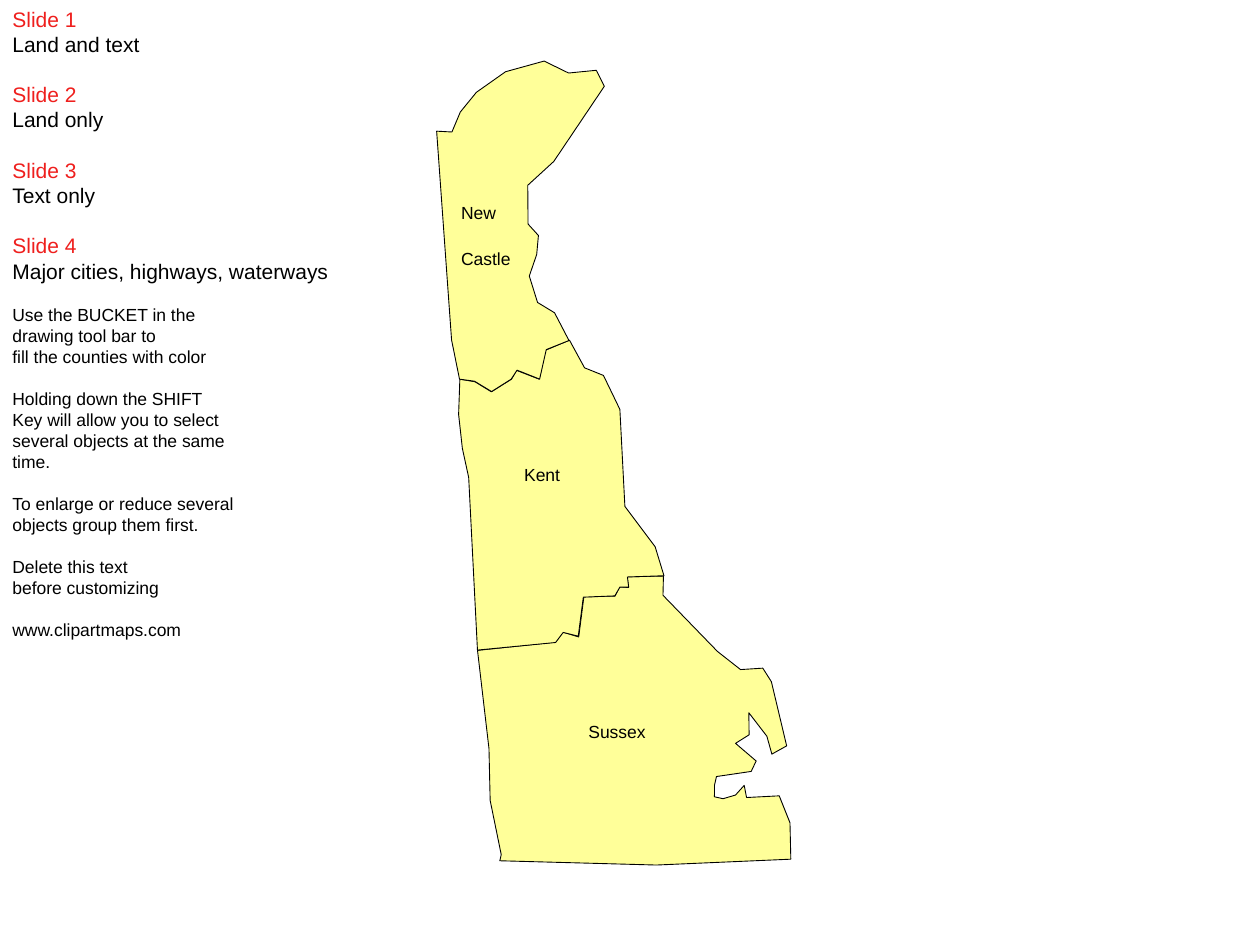
from math import cos, radians, sin

from pptx import Presentation
from pptx.dml.color import RGBColor
from pptx.enum.text import MSO_AUTO_SIZE
from pptx.util import Inches, Pt

WIDE, HIGH = Inches(10), Inches(7.5)
CELL = WIDE // 1000
BLACK = RGBColor(0, 0, 0)
RED = RGBColor(0xEF, 0x1F, 0x1D)
SAND = RGBColor(0xFF, 0xFF, 0x99)

NORTH = [(365, 301), (377, 303), (390, 311), (406, 301), (410, 294),
         (428, 301), (433, 278), (452, 270)]
SOUTH = [(379, 516), (441, 510), (447, 502), (459, 505), (463, 474),
         (488, 473), (492, 466), (499, 466), (498, 458), (527, 457)]
CASTLE = NORTH[::-1] + [
    (358, 270), (347, 104), (359, 105), (365, 89), (378, 73), (401, 57),
    (432, 49), (451, 58), (473, 56), (480, 69), (440, 128), (419, 147),
    (419, 178), (427, 187), (426, 202), (420, 219), (427, 240), (440, 248)]
KENT = SOUTH[::-1] + [
    (372, 379), (367, 356), (364, 329)] + NORTH + [
    (464, 292), (479, 298), (492, 325), (496, 402), (520, 434)]
SUSSEX = SOUTH[::-1] + [
    (388, 594), (389, 635), (398, 678), (397, 683), (521, 687), (628, 682),
    (627, 653), (618, 632), (593, 633), (591, 623), (584, 631), (574, 634),
    (567, 632), (567, 623), (569, 616), (596, 612), (600, 604), (584, 590),
    (595, 583), (594, 566), (609, 584), (613, 599), (624, 592), (612, 541),
    (605, 530), (588, 531), (569, 517), (526, 472)]

LABELS = [("New", 366, 160, 31), ("Castle", 366, 197, 42),
          ("Kent", 416, 368, 32), ("Sussex", 467, 572, 48)]
SLIDES = ["Land and text", "Land only", "Text only",
          "Major cities, highways, waterways"]
TIPS = [
    ["Use the BUCKET in the", "drawing tool bar to",
     "fill the counties with color"],
    ["Holding down the SHIFT", "Key will allow you to select",
     "several objects at the same", "time."],
    ["To enlarge or reduce several", "objects group them first."],
    ["Delete this text", "before customizing"],
    ["www.clipartmaps.com"],
]


def turn(spot, hub, angle):
    """Rotate a grid point clockwise about a hub."""
    x, y = spot[0] - hub[0], spot[1] - hub[1]
    c, s = cos(radians(angle)), sin(radians(angle))
    return hub[0] + x * c - y * s, hub[1] + x * s + y * c


def county(slide, spots, hub=(0, 0), angle=0):
    """Draw a county outline in a frame tilted about its hub."""
    spots = [turn(spot, hub, -angle) for spot in spots]
    pen = slide.shapes.build_freeform(*spots[0], scale=CELL)
    pen.add_line_segments(spots[1:], close=True)
    shape = pen.convert_to_shape()
    shape.rotation = angle
    shape.shadow.inherit = False
    shape.fill.solid()
    shape.fill.fore_color.rgb = SAND
    shape.line.color.rgb = BLACK
    shape.line.width = Pt(0.5)


def box(slide, left, top, wide, high, pad=(0, 0)):
    """Add an unwrapped text frame placed on the grid."""
    area = [n * CELL for n in (left, top, wide, high)]
    frame = slide.shapes.add_textbox(*area).text_frame
    frame.margin_left = frame.margin_right = pad[0] * CELL
    frame.margin_top = frame.margin_bottom = pad[1] * CELL
    frame.word_wrap = False
    frame.auto_size = MSO_AUTO_SIZE.SHAPE_TO_FIT_TEXT
    return frame


def write(frame, text, size=10, color=BLACK, gap=False):
    """Write one paragraph, with a line of space above if asked."""
    first = frame.paragraphs[0]
    para = first if not first.runs else frame.add_paragraph()
    para.line_spacing = Pt(size * 1.2)
    para.space_before = Pt(size * 1.2 if gap else 0)
    run = para.add_run()
    run.text = text
    run.font.name = "Arial"
    run.font.size = Pt(size)
    run.font.color.rgb = color


def guide(slide):
    """Write the list of slides and the tips."""
    frame = box(slide, 0, 0, 271, 531, pad=(10, 5))
    for i, text in enumerate(SLIDES):
        write(frame, f"Slide {i + 1}", size=12, color=RED, gap=i > 0)
        write(frame, text, size=12)
    for tip in TIPS:
        for i, text in enumerate(tip):
            write(frame, text, gap=i == 0)


def main():
    """Build the county map slide."""
    deck = Presentation()
    deck.slide_width, deck.slide_height = WIDE, HIGH
    slide = deck.slides.add_slide(deck.slide_layouts[6])
    county(slide, SUSSEX, hub=(507.5, 580.5), angle=12.7)
    county(slide, KENT)
    county(slide, CASTLE, hub=(401, 176.5), angle=12.7)
    for text, left, top, wide in LABELS:
        write(box(slide, left, top, wide, 17), text)
    guide(slide)
    deck.save("out.pptx")


if __name__ == "__main__":
    main()
